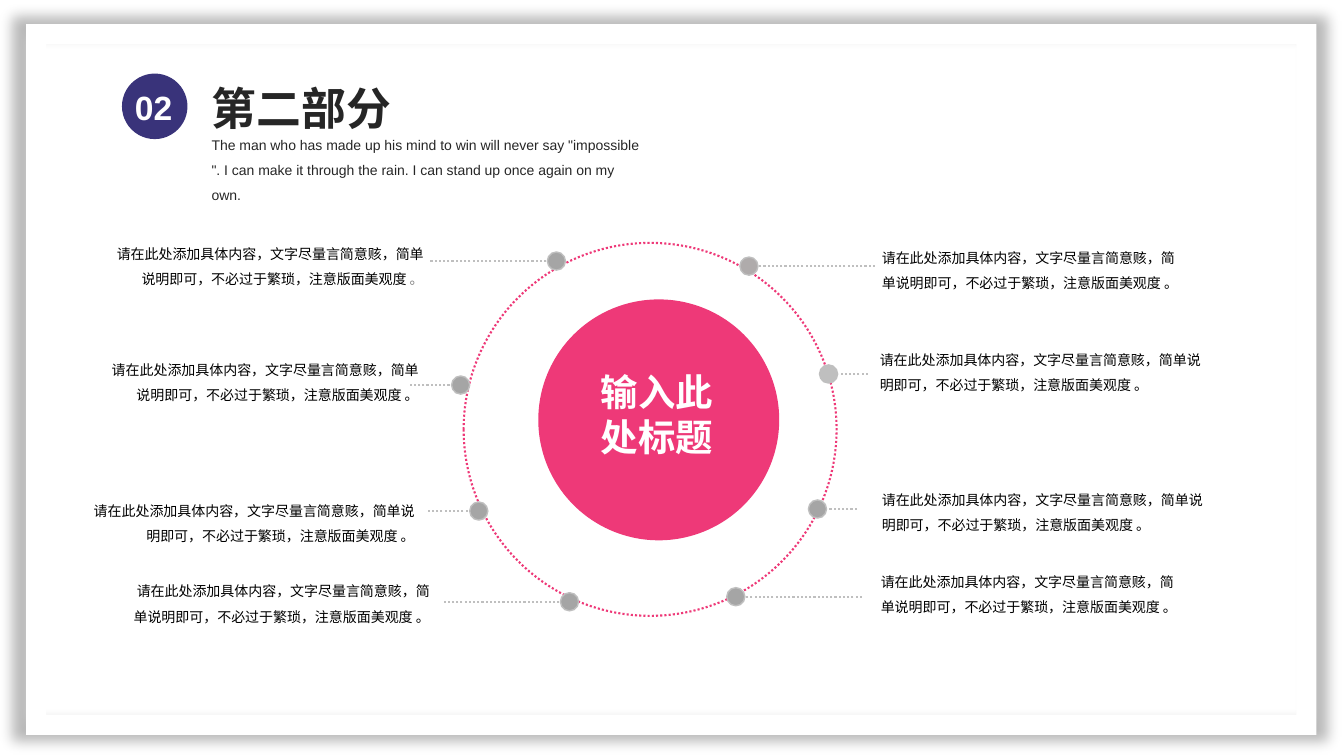
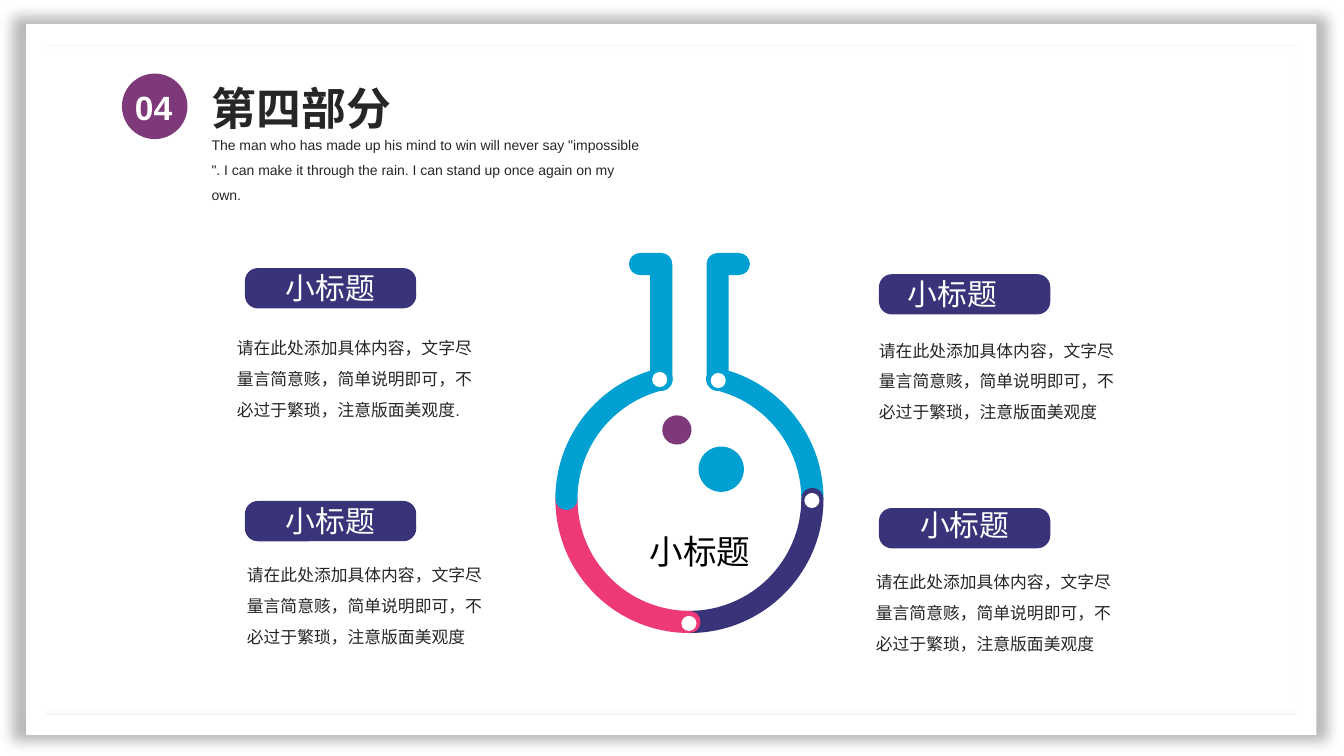
from math import cos, dist, radians, sin, tan

from lxml.etree import SubElement
from pptx import Presentation
from pptx.dml.color import RGBColor
from pptx.enum.dml import MSO_LINE
from pptx.enum.shapes import MSO_CONNECTOR, MSO_SHAPE
from pptx.enum.text import MSO_ANCHOR, MSO_AUTO_SIZE, PP_ALIGN
from pptx.oxml.ns import qn
from pptx.util import Emu, Pt

PX = 9144
LATIN, HAN = "Arial", "Noto Sans CJK SC"
INK, BLACK, WHITE = "262626", "000000", "FFFFFF"
NAVY, PURPLE, PINK, BLUE = "39337A", "7E397A", "EE3978", "00A1D2"
GREY, PALE, WARM, DIM = "A5A5A5", "BFBFBF", "AFABAB", "808080"
QUOTE = ('The man who has made up his mind to win will never say "impossible ". '
         "I can make it through the rain. I can stand up once again on my own.")
CONTENT = "请在此处添加具体内容，文字尽量言简意赅，简单说明即可，不必过于繁琐，注意版面美观度"
SUBTITLE = "小标题"
FLASK_X, FLASK_Y, RING, TUBE = 684, 495, 122, 11


def px(value):
    return Emu(round(value * PX))


def rgb(color):
    return RGBColor.from_string(color)


def style_run(r, size, color, bold=False, font=LATIN):
    r.font.name = font
    r.font.size = Pt(size)
    r.font.bold = bold
    r.font.color.rgb = rgb(color)
    SubElement(r._r.get_or_add_rPr(), qn("a:ea")).set("typeface", HAN)


def write(sp, text, size, color, bold=False, font=LATIN, align=PP_ALIGN.LEFT,
          spacing=None, inset=(10, 5)):
    tf = sp.text_frame
    tf.word_wrap = True
    tf.auto_size = MSO_AUTO_SIZE.NONE
    tf.vertical_anchor = MSO_ANCHOR.TOP
    tf.margin_left = tf.margin_right = px(inset[0])
    tf.margin_top = tf.margin_bottom = px(inset[1])
    tf.text = text
    for p in tf.paragraphs:
        p.alignment = align
        p.line_spacing = spacing
        for r in p.runs:
            style_run(r, size, color, bold, font)
    return tf


def text_box(slide, x, y, w, h, text, size, color, **style):
    sp = slide.shapes.add_textbox(px(x), px(y), px(w), px(h))
    return write(sp, text, size, color, **style)


def paint(sp, fill=None, line=None, width=1):
    sp.shadow.inherit = False
    if fill:
        sp.fill.solid()
        sp.fill.fore_color.rgb = rgb(fill)
    else:
        sp.fill.background()
    if line:
        sp.line.color.rgb = rgb(line)
        sp.line.width = Pt(width)
    else:
        sp.line.fill.background()
    return sp


def shape(slide, kind, x, y, w, h, fill=None, line=None, width=1):
    sp = slide.shapes.add_shape(kind, px(x), px(y), px(w), px(h))
    return paint(sp, fill, line, width)


def circle(slide, x, y, size, fill=None, line=None, width=1):
    return shape(slide, MSO_SHAPE.OVAL, x, y, size, size, fill, line, width)


def dotted_line(slide, x1, x2, y):
    line = slide.shapes.add_connector(MSO_CONNECTOR.STRAIGHT, px(x1), px(y), px(x2), px(y))
    line.line.color.rgb = rgb(PALE)
    line.line.width = Pt(1.5)
    line.line.dash_style = MSO_LINE.ROUND_DOT
    SubElement(line._element.spPr, qn("a:effectLst"))


def outline(slide, curves, fill):
    points = [curves[0][0]]
    for start, *rest in curves:
        if dist(points[-1], start) > 0.01:
            points += [points[-1], start, start]
        points += rest
    points = [(px(x), px(y)) for x, y in points]
    builder = slide.shapes.build_freeform(*points[0])
    builder.add_line_segments(points[1:], close=True)
    sp = paint(builder.convert_to_shape(), fill)
    track = sp._element.find(".//" + qn("a:path"))
    steps = track.findall(qn("a:lnTo"))
    for i in range(0, len(steps), 3):
        curve = SubElement(track, qn("a:cubicBezTo"))
        steps[i].addprevious(curve)
        for step in steps[i:i + 3]:
            curve.append(step[0])
            track.remove(step)
    return sp


def quarter(x, y, radius, start, end):
    a, b = radians(start), radians(end)
    k = 4 / 3 * tan((b - a) / 4)
    return [(x + radius * u, y + radius * v) for u, v in (
        (cos(a), sin(a)),
        (cos(a) - k * sin(a), sin(a) + k * cos(a)),
        (cos(b) + k * sin(b), sin(b) - k * cos(b)),
        (cos(b), sin(b)))]


def cap(x, y, start):
    return [quarter(x, y, TUBE, a, a + 90) for a in (start, start + 90)]


def ring_segment(slide, start, end, color):
    def middle(angle):
        return quarter(FLASK_X, FLASK_Y, RING, angle, angle)[0]

    curves = [quarter(FLASK_X, FLASK_Y, RING + TUBE, start, end)]
    curves += cap(*middle(end), end)
    curves.append(quarter(FLASK_X, FLASK_Y, RING - TUBE, end, start))
    curves += cap(*middle(start), start + 180)
    outline(slide, curves, color)


def flask_neck(slide, side):
    tube, lip, top, bottom = 28, 49, 262, 377
    curves = cap(tube, bottom, 0)
    curves.append(quarter(tube, top, TUBE, 180, 270))
    curves += cap(lip, top, -90)
    curves.append([(tube + TUBE, top + TUBE)] * 4)
    outline(slide, [[(FLASK_X + side * x, y) for x, y in curve] for curve in curves], BLUE)


def bubble(slide, x, y, size, color, top, outer, tip, inner):
    circle(slide, x, y, size, color)
    return lambda: outline(slide, [[top, top, outer, tip], [tip, tip, inner, top]], color)


def base_slide(prs, number, title, badge_color):
    slide = prs.slides.add_slide(prs.slide_layouts[5])
    frame = shape(slide, MSO_SHAPE.FRAME, 26, 24, 1280, 705, WHITE)
    frame.adjustments[0] = 0.028
    effects = frame._element.spPr.find(qn("a:effectLst"))
    shadow = SubElement(effects, qn("a:outerShdw"), blurRad=str(Pt(9)), sx="102000",
                        sy="102000", algn="ctr", rotWithShape="0")
    shade = SubElement(shadow, qn("a:srgbClr"), val=BLACK)
    SubElement(shade, qn("a:alpha"), val="27000")

    heading = slide.shapes.title
    heading.left, heading.top, heading.width, heading.height = map(px, (200, 64, 319, 70))
    write(heading, title, 32, INK, bold=True, spacing=1.2)
    text_box(slide, 200, 122, 445, 58, QUOTE, 10, INK, spacing=Pt(18))
    circle(slide, 121, 73, 65, badge_color)
    text_box(slide, 124, 81, 62, 50, number, 24, WHITE, bold=True)
    return slide


def callout(slide, dot, line, box, align, fill=GREY, stop_color=BLACK):
    x, y = dot
    dotted_line(slide, *line, y + 9)
    circle(slide, x, y, 18, fill, PALE)
    tf = text_box(slide, *box, 58, CONTENT + " ", 10, BLACK, align=align, spacing=Pt(18))
    r = tf.paragraphs[0].add_run()
    r.text = "。"
    style_run(r, 10, stop_color)


def wheel_slide(prs):
    slide = base_slide(prs, "02", "第二部分", NAVY)
    circle(slide, 534, 297, 239, PINK)
    orbit = circle(slide, 460, 241, 370, line=PINK, width=1.5)
    orbit.line.dash_style = MSO_LINE.ROUND_DOT
    text_box(slide, 586, 361, 181, 100, "输入此\n处标题", 26.7, WHITE, bold=True, font=HAN)

    left, right = PP_ALIGN.RIGHT, PP_ALIGN.LEFT
    callout(slide, (543, 250), (546, 426), (101, 230, 329), left, stop_color=DIM)
    callout(slide, (556, 588), (559, 439), (119, 565, 317), left)
    callout(slide, (466, 498), (464, 424), (83, 485, 338), left)
    callout(slide, (448, 373), (446, 406), (96, 345, 329), left)
    callout(slide, (734, 255), (868, 747), (865, 234, 318), right, WARM)
    callout(slide, (721, 583), (855, 734), (864, 556, 317), right)
    callout(slide, (802, 496), (850, 811), (865, 474, 338), right)
    callout(slide, (813, 362), (861, 821), (863, 335, 338), right, PALE)


def flask(slide):
    leaf = bubble(slide, 657, 412, 29, PURPLE, (672, 416), (684, 418), (682, 430), (679, 421))
    leaf()
    flask_neck(slide, 1)
    for start, end, color in ((283, 360, BLUE), (0, 90, NAVY), (90, 180, PINK),
                              (180, 257, BLUE)):
        ring_segment(slide, start, end, color)
    flask_neck(slide, -1)
    leaf = bubble(slide, 693, 443, 45, BLUE, (718, 449), (737, 452), (732, 470), (728, 456))
    leaf()
    for x, y in ((705, 370), (647, 369), (798, 489), (676, 611), (554, 402)):
        circle(slide, x, y, 15, WHITE)
    text_box(slide, 631, 522, 127, 39, SUBTITLE, 24, BLACK, align=PP_ALIGN.CENTER)


def topic(slide, pill, label, body, text=CONTENT):
    sp = shape(slide, MSO_SHAPE.ROUNDED_RECTANGLE, *pill, 170, 40, NAVY)
    sp.adjustments[0] = 0.32
    text_box(slide, *label, 146, 46, SUBTITLE, 21.3, WHITE, align=PP_ALIGN.CENTER)
    text_box(slide, *body, 235, 74, text, 12, INK, spacing=Pt(22), inset=(0, 0))


def flask_slide(prs):
    slide = base_slide(prs, "04", "第四部分", PURPLE)
    flask(slide)
    topic(slide, (243, 266), (255, 263), (235, 325), CONTENT + ".")
    topic(slide, (243, 497), (255, 494), (245, 550))
    topic(slide, (872, 272), (872, 269), (872, 327))
    topic(slide, (872, 504), (884, 498), (869, 557))


def main():
    prs = Presentation()
    prs.slide_width, prs.slide_height = Emu(12192000), px(750)
    wheel_slide(prs)
    flask_slide(prs)
    prs.save("out.pptx")


if __name__ == "__main__":
    main()
